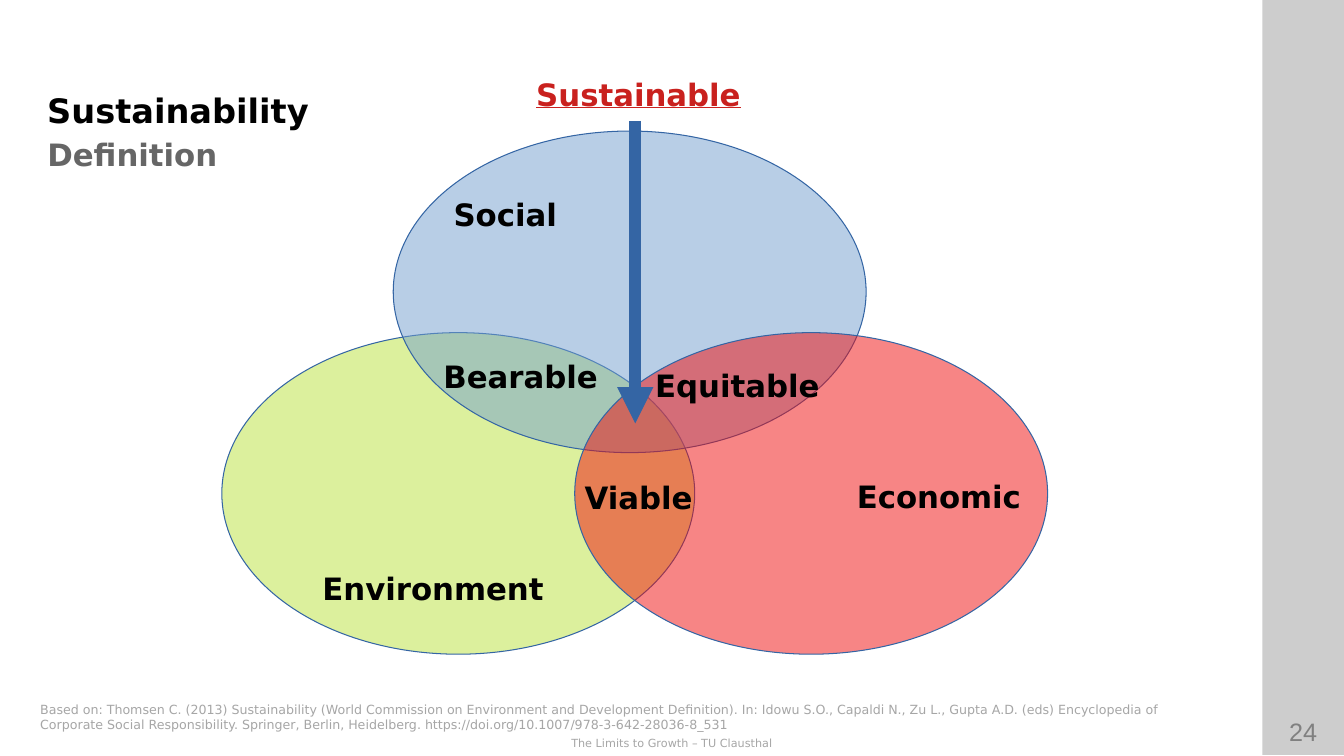
from typing import NamedTuple

from lxml.etree import SubElement
from pptx import Presentation
from pptx.dml.color import RGBColor
from pptx.enum.shapes import MSO_CONNECTOR as LINK, MSO_SHAPE as SHAPE
from pptx.enum.text import MSO_ANCHOR as ANCHOR, PP_ALIGN as ALIGN
from pptx.oxml.ns import qn
from pptx.util import Inches, Pt

BLACK = RGBColor(0, 0, 0)
DARK_GREY = RGBColor(0x66, 0x66, 0x66)
MID_GREY = RGBColor(0x80, 0x80, 0x80)
LIGHT_GREY = RGBColor(0xA6, 0xA6, 0xA6)
BLUE = RGBColor(0x34, 0x65, 0xA4)
SKY = RGBColor(0x72, 0x9F, 0xCF)
LIME = RGBColor(0xBB, 0xE3, 0x3D)
RED = RGBColor(0xF1, 0x0D, 0x0C)
DEEP_RED = RGBColor(0xC9, 0x21, 0x1E)

CELL = Inches(0.1)
COLUMNS, ROWS = 133.3, 75
CIRCLE_COLUMNS, CIRCLE_ROWS = 46.9, 31.9
LABEL = dict(size=Pt(22), bold=True)


class Box(NamedTuple):
    """A rectangle measured in grid columns and rows."""
    left: float
    top: float
    width: float
    height: float

    def inner(self, left, top, width, height):
        """Return a box placed relative to this one."""
        return Box(self.left + left, self.top + top, width, height)

    def lengths(self):
        """Return the four sides as slide lengths."""
        return [round(side * CELL) for side in self]


def add_text(page, box, words, color, align=ALIGN.LEFT, anchor=ANCHOR.TOP,
             margins=(0.1, 0.05), **formats):
    """Write one paragraph of text in the box."""
    frame = page.shapes.add_textbox(*box.lengths()).text_frame
    frame.word_wrap = True
    frame.vertical_anchor = anchor
    frame.margin_left = frame.margin_right = Inches(margins[0])
    frame.margin_top = frame.margin_bottom = Inches(margins[1])
    para = frame.paragraphs[0]
    para.alignment = align
    span = para.add_run()
    span.text = words
    span.font.color.rgb = color
    for name, value in {"name": "DejaVu Sans", **formats}.items():
        setattr(span.font, name, value)


def add_tinted(page, kind, box, color, percent, outline=None):
    """Draw a preset shape with a translucent fill."""
    shape = page.shapes.add_shape(kind, *box.lengths())
    shape.shadow.inherit = False
    shape.fill.solid()
    shape.fill.fore_color.rgb = color
    tint = shape.fill._xPr.find(".//" + qn("a:srgbClr"))
    SubElement(tint, qn("a:alpha"), val=str(percent * 1000))
    if outline is None:
        shape.line.fill.background()
    else:
        shape.line.color.rgb = outline
        shape.line.width = Pt(0.75)


def add_sidebar(page, box):
    """Draw the layered grey band with the page number."""
    for _ in range(2):
        add_tinted(page, SHAPE.RECTANGLE, box, BLACK, 10)
    add_text(page, box.inner(0, 70.6, box.width, 4), "24", MID_GREY,
             align=ALIGN.CENTER, size=Pt(18), name="Arial")


def add_heading(page, box):
    """Write the title and subtitle."""
    add_text(page, box.inner(0, 0, box.width, 5.4), "Sustainability", BLACK,
             size=Pt(24), bold=True)
    add_text(page, box.inner(1, 4.2, box.width - 4.3, 5.4), "Definition", DARK_GREY,
             anchor=ANCHOR.MIDDLE, margins=(0, 0), **LABEL)


def add_footer(page, box):
    """Write the citation and the centred running footer."""
    add_text(page, box.inner(3, 0, 118.1, 4),
             "Based on: Thomsen C. (2013) Sustainability (World Commission on Environment "
             "and Development Definition). In: Idowu S.O., Capaldi N., Zu L., Gupta A.D. "
             "(eds) Encyclopedia of Corporate Social Responsibility. Springer, Berlin, "
             "Heidelberg. https://doi.org/10.1007/978-3-642-28036-8_531",
             LIGHT_GREY, size=Pt(9))
    add_text(page, box.inner(0, 3.5, box.width, 2.3),
             "The Limits to Growth – TU Clausthal", LIGHT_GREY,
             align=ALIGN.CENTER, size=Pt(8))


def add_arrow(page, box):
    """Draw a thick arrow down the left edge of the box."""
    left, top, _, height = box.lengths()
    arrow = page.shapes.add_connector(LINK.STRAIGHT, left, top, left, top + height)
    arrow.line.color.rgb = BLUE
    arrow.line.width = Pt(8.65)
    SubElement(arrow.line._get_or_add_ln(), qn("a:tailEnd"), type="triangle")
    SubElement(arrow._element.spPr, qn("a:effectLst"))


def add_venn(page, box):
    """Draw three overlapping circles, their labels and the arrow."""
    for left, top, color in [(0, 26, LIME), (17, 6, SKY), (35, 26, RED)]:
        circle = box.inner(left, top, CIRCLE_COLUMNS, CIRCLE_ROWS)
        add_tinted(page, SHAPE.OVAL, circle, color, 50, BLUE)
    labels = [("Social", 22, 11.9), ("Economic", 62, 39.9), ("Environment", 9, 49),
              ("Viable", 35, 40), ("Bearable", 21, 28), ("Equitable", 42, 28.9)]
    for words, left, top in labels:
        add_text(page, box.inner(left, top, 24.9, 8), words, BLACK, **LABEL)
    add_text(page, box.inner(30.2, 0, 24.9, 8), "Sustainable", DEEP_RED,
             underline=True, **LABEL)
    add_arrow(page, box.inner(41, 5, 0, 30))


def main():
    """Build the slide and save the deck."""
    deck = Presentation()
    deck.slide_width = round(COLUMNS * CELL)
    deck.slide_height = ROWS * CELL
    page = deck.slides.add_slide(deck.slide_layouts[6])
    add_sidebar(page, Box(125.2, 0, 8.1, 74.9))
    add_heading(page, Box(3.7, 8.4, 117.5, 9.6))
    add_footer(page, Box(0, 69.1, COLUMNS, 5.8))
    add_venn(page, Box(22, 7, 81.9, 57.9))
    deck.save("out.pptx")


if __name__ == "__main__":
    main()
